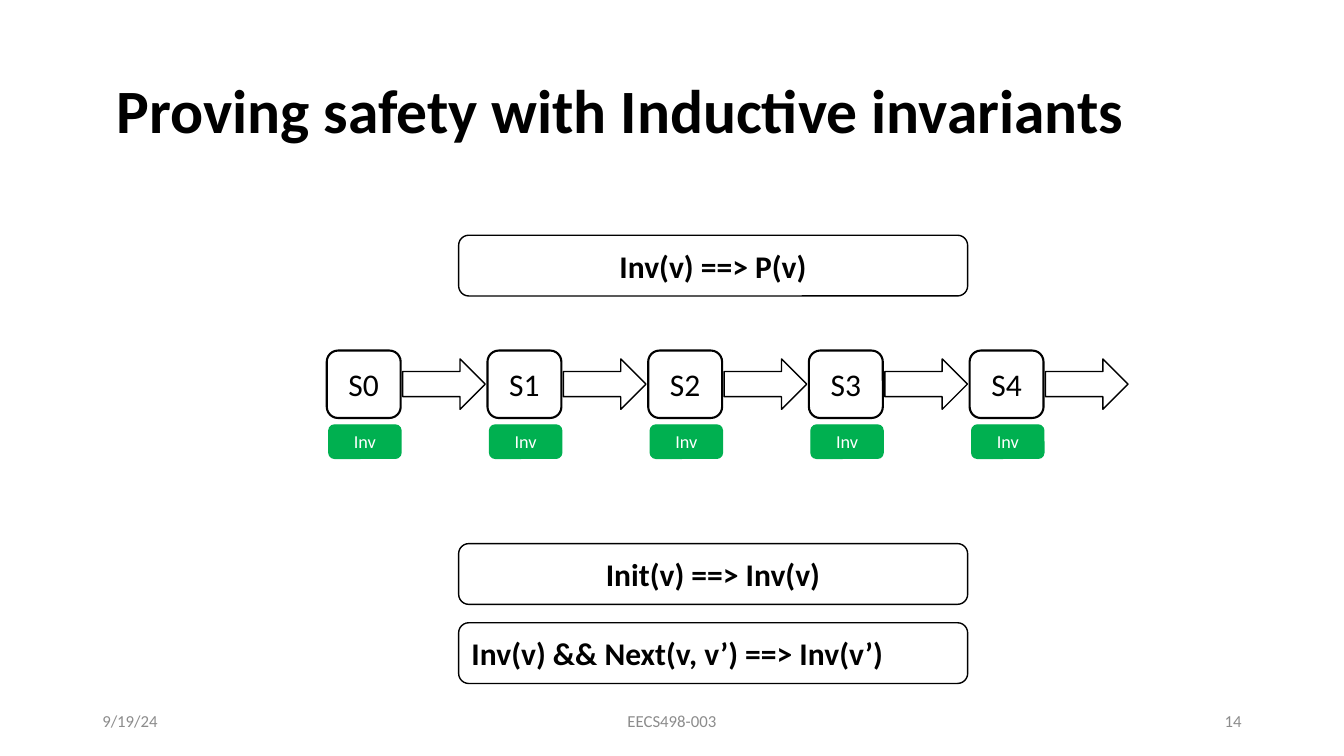
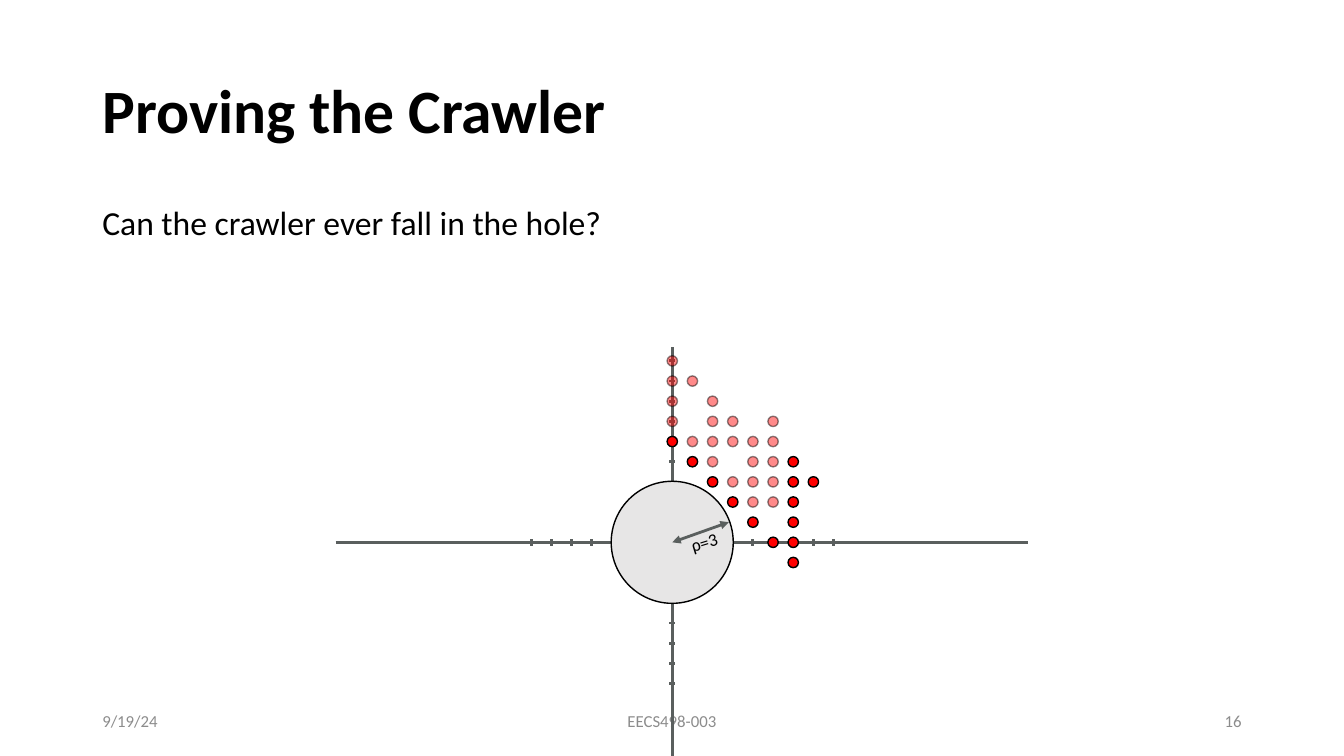
from lxml import etree
from pptx import Presentation
from pptx.dml.color import RGBColor
from pptx.enum.shapes import MSO_CONNECTOR, MSO_SHAPE
from pptx.enum.text import MSO_ANCHOR, PP_ALIGN
from pptx.oxml.ns import qn
from pptx.util import Pt

LEFT, CENTER, RIGHT = PP_ALIGN.LEFT, PP_ALIGN.CENTER, PP_ALIGN.RIGHT
TOP, MIDDLE = MSO_ANCHOR.TOP, MSO_ANCHOR.MIDDLE
ROUNDED, ELLIPSE = MSO_SHAPE.ROUNDED_RECTANGLE, MSO_SHAPE.OVAL
BLOCK_ARROW = MSO_SHAPE.RIGHT_ARROW
STRAIGHT = MSO_CONNECTOR.STRAIGHT

BLACK = RGBColor(0x00, 0x00, 0x00)
WHITE = RGBColor(0xFF, 0xFF, 0xFF)
GREEN = RGBColor(0x00, 0xB0, 0x50)
RED = RGBColor(0xFF, 0x00, 0x00)
HOLE_GRAY = RGBColor(0xE7, 0xE6, 0xE6)
AXIS_GRAY = RGBColor(0x5A, 0x5F, 0x5E)
FOOTER_GRAY = RGBColor(0x8C, 0x8C, 0x8C)

FONT = "Calibri"
WIDTH, HEIGHT = 960, 540
MARGIN = 66
CONTENT_WIDTH = WIDTH - 2 * MARGIN


def write(sp, text, size, color=BLACK, bold=False, align=LEFT, anchor=MIDDLE,
          spacing=None, inset=7.2):
    tf = sp.text_frame
    tf.word_wrap = True
    tf.vertical_anchor = anchor
    tf.margin_left = tf.margin_right = Pt(inset)
    tf.margin_top = tf.margin_bottom = Pt(min(inset, 3.6))
    p = tf.paragraphs[0]
    p.text = text
    p.alignment = align
    if spacing:
        p.line_spacing = spacing
    p.font.name = FONT
    p.font.size = Pt(size)
    p.font.bold = bold
    p.font.color.rgb = color


def add_text(slide, box, text, size, **style):
    sp = slide.shapes.add_textbox(*map(Pt, box))
    write(sp, text, size, **style)
    return sp


def add_box(slide, kind, box, fill=WHITE, line=BLACK, weight=1):
    sp = slide.shapes.add_shape(kind, *map(Pt, box))
    sp.shadow.inherit = False
    sp.fill.solid()
    sp.fill.fore_color.rgb = fill
    sp.line.color.rgb = line
    sp.line.width = Pt(weight)
    return sp


def add_line(slide, x1, y1, x2, y2):
    line = slide.shapes.add_connector(STRAIGHT, Pt(x1), Pt(y1), Pt(x2), Pt(y2))
    line.line.color.rgb = AXIS_GRAY
    line.line.width = Pt(2)
    etree.SubElement(line._element.spPr, qn("a:effectLst"))
    return line


def add_arrowheads(line):
    """Put a triangle at both ends."""
    ln = line.line._get_or_add_ln()
    for end in ("a:headEnd", "a:tailEnd"):
        etree.SubElement(ln, qn(end), type="triangle")


def fade(sp, percent):
    """Make fill and outline partly transparent."""
    for color in sp._element.spPr.iter(qn("a:srgbClr")):
        etree.SubElement(color, qn("a:alpha"), val=str(percent * 1000))


def add_frame(prs, title, number, indent=0):
    """Add a slide with its title and footers."""
    slide = prs.slides.add_slide(prs.slide_layouts[6])
    add_text(slide, (MARGIN + indent, 28.8, CONTENT_WIDTH - indent, 104.4),
             title, 44, bold=True, spacing=0.9)
    footers = (
        (MARGIN, 216, "9/19/24", LEFT),
        (318, 324, "EECS498-003", CENTER),
        (678, 216, str(number), RIGHT),
    )
    for left, width, text, align in footers:
        add_text(slide, (left, 500.6, width, 28.8), text, 12,
                 color=FOOTER_GRAY, align=align)
    return slide


def add_statement(slide, box, text, align=CENTER):
    sp = add_box(slide, ROUNDED, box)
    write(sp, text, 22.5, bold=True, align=align)


def add_state_chain(slide, left, top, count, pitch):
    """Draw a row of states, each with its invariant and a step arrow."""
    for i in range(count):
        x = left + i * pitch
        label = add_box(slide, ROUNDED, (x + 1.5, top + 53.2, 51.5, 23.8), GREEN, GREEN)
        write(label, "Inv", 13, color=WHITE, align=CENTER, inset=0)
        state = add_box(slide, ROUNDED, (x, top, 52.8, 48.2), weight=1.5)
        write(state, f"S{i}", 22.5, align=CENTER, inset=0)
        add_box(slide, BLOCK_ARROW, (x + 54.2, top + 6, 59, 36))


def add_axes(slide, cx, cy, step, x_ticks, y_ticks):
    """Draw both axes with ticks at the units given."""
    add_line(slide, cx, cy - 139.5, cx, HEIGHT)
    add_line(slide, cx - 240.4, cy, cx + 254, cy)
    half = 2.3
    for unit in y_ticks:
        y = cy - unit * step
        add_line(slide, cx - half, y, cx + half, y)
    for unit in x_ticks:
        x = cx + unit * step
        add_line(slide, x, cy - half, x, cy + half)


def add_hole(slide, cx, cy, radius):
    add_box(slide, ELLIPSE, (cx - radius, cy - radius, 2 * radius, 2 * radius), HOLE_GRAY)
    add_arrowheads(add_line(slide, cx + 40.4, cy - 14.4, cx, cy))
    sp = add_text(slide, (cx + 7.2, cy - 10.8, 31, 21), "ρ=3", 12.7,
                  align=CENTER, inset=0)
    sp.rotation = 342.8


def add_dots(slide, cx, cy, step, columns, opacity=None):
    """Draw a red dot at each row listed for a column."""
    size = 7.4
    for col, rows in columns.items():
        for row in rows:
            x, y = cx + col * step, cy - row * step
            dot = add_box(slide, ELLIPSE, (x - size / 2, y - size / 2, size, size), RED)
            if opacity:
                fade(dot, opacity)


def add_invariants_slide(prs):
    slide = add_frame(prs, "Proving safety with Inductive invariants", 14, indent=10)
    left, width, height = 327.6, 363.6, 43.4
    add_statement(slide, (left, 168, width, height), "Inv(v) ==> P(v)")
    add_state_chain(slide, 233.4, 250.4, count=5, pitch=114.8)
    add_statement(slide, (left, 388.3, width, height), "Init(v) ==> Inv(v)")
    add_statement(slide, (left, 444.8, width, height),
                  "Inv(v) && Next(v, v’) ==> Inv(v’)", LEFT)


def add_crawler_slide(prs):
    slide = add_frame(prs, "Proving the Crawler", 16)
    add_text(slide, (MARGIN, 144, CONTENT_WIDTH, 342.7),
             "Can the crawler ever fall in the hole?", 24, anchor=TOP, spacing=0.9)
    cx, cy, step = 480.2, 387.4, 14.4
    inner = {0: (6, 7, 8, 9), 1: (5, 8), 2: (4, 5, 6, 7), 3: (3, 5, 6),
             4: (2, 3, 4, 5), 5: (2, 3, 4, 5, 6)}
    # The lower-left edge falls one row per column
    border = {col: (5 - col,) for col in range(6)}
    border.update({6: range(-1, 5), 7: (3,)})
    inner[1] = (5, 8)
    inner[2] = (4, 5, 6, 7)
    # Ticks stand only where neither the hole nor a solid dot lies
    add_axes(slide, cx, cy, step,
             x_ticks=(-7, -6, -5, -4, 4, 7, 8),
             y_ticks=(-7, -6, -5, -4, 4, 6, 7, 8, 9))
    add_hole(slide, cx, cy, 43.6)
    add_dots(slide, cx, cy, step, inner, opacity=46)
    add_dots(slide, cx, cy, step, border)


def main():
    prs = Presentation()
    prs.slide_width, prs.slide_height = Pt(WIDTH), Pt(HEIGHT)
    add_invariants_slide(prs)
    add_crawler_slide(prs)
    prs.save("out.pptx")


if __name__ == "__main__":
    main()
